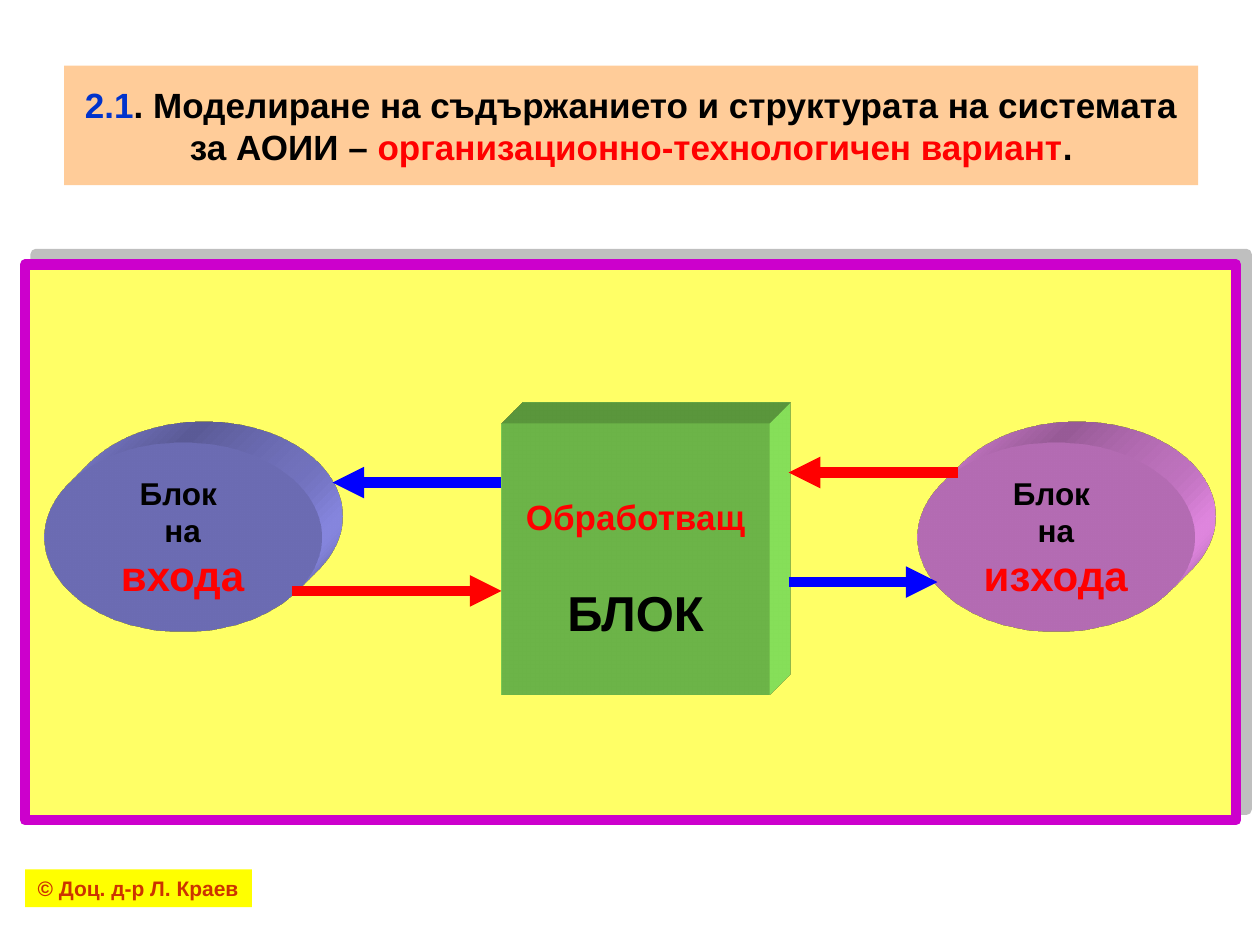
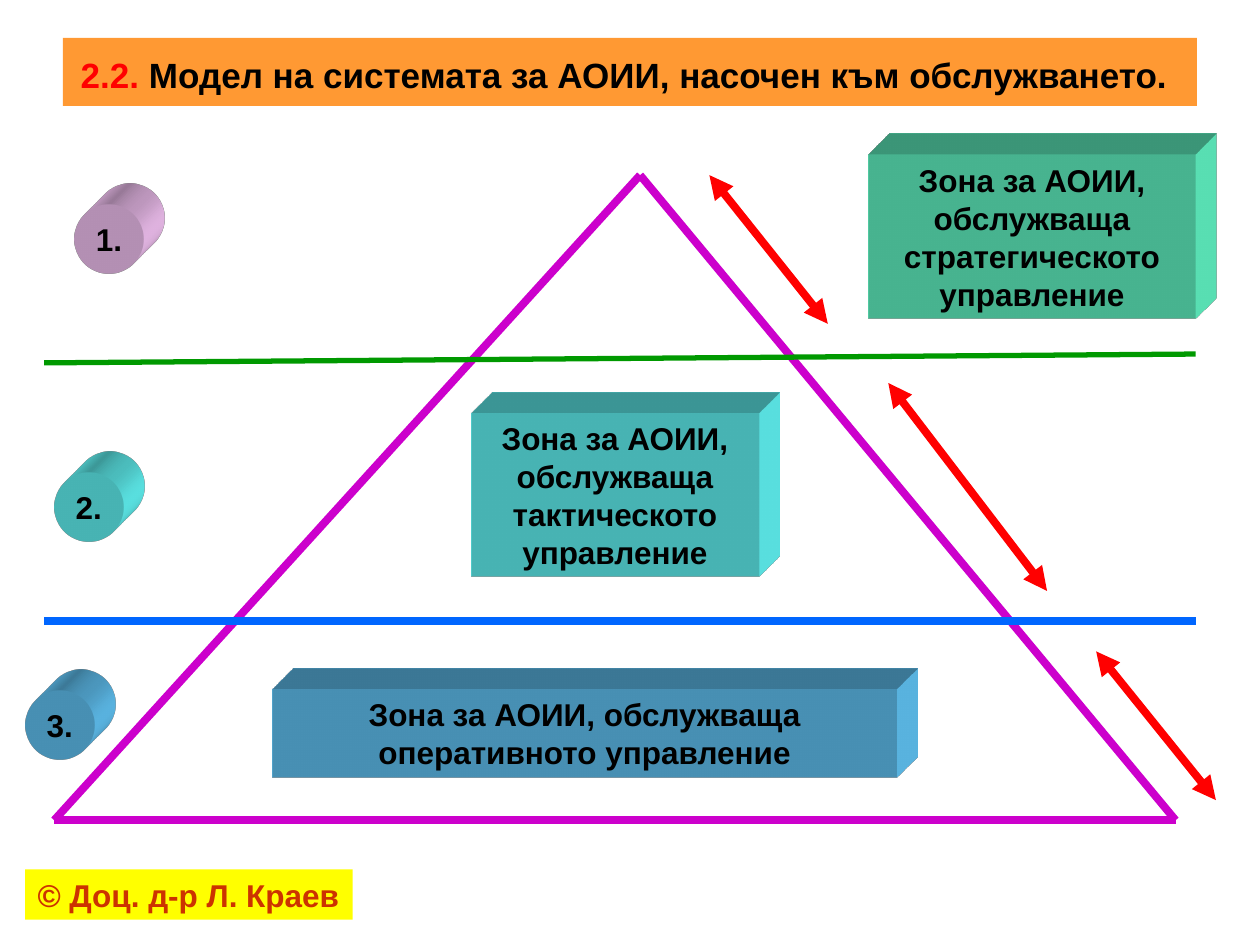
from dataclasses import dataclass
from typing import NamedTuple

from lxml import etree
from pptx import Presentation
from pptx.dml.color import RGBColor
from pptx.enum import shapes, text
from pptx.oxml import ns
from pptx.util import Inches, Pt

FONT = "Arial"
EXTRUSION = Inches(0.47)
COLORS = {
    "black": "000000",
    "red": "FF0000",
    "blue": "0000FF",
    "number_blue": "0033CC",
    "peach": "FFCC99",
    "orange": "FF9933",
    "yellow": "FFFF00",
    "rust": "CC3300",
    "panel": "FFFF66",
    "magenta": "CC00CC",
    "shadow": "808080",
    "violet": "9999FF",
    "pink": "FF99FF",
    "lime": "99FF66",
    "pale_pink": "FFCCFF",
    "mint": "66FFCC",
    "cyan": "66FFFF",
    "sky": "66CCFF",
    "dark_green": "009900",
    "divider_blue": "0066FF",
}
RECT = shapes.MSO_SHAPE.RECTANGLE
OVAL = shapes.MSO_SHAPE.OVAL
TOP = text.MSO_ANCHOR.TOP
MIDDLE = text.MSO_ANCHOR.MIDDLE
LEFT = text.PP_ALIGN.LEFT
CENTER = text.PP_ALIGN.CENTER


class Box(NamedTuple):
    left: float
    top: float
    width: float
    height: float


class Span(NamedTuple):
    words: str
    size: float = 18
    color: str = "black"


@dataclass
class Label:
    box: Box
    fill: str
    lines: list[list[Span]]
    shape: shapes.MSO_SHAPE = RECT
    anchor: text.MSO_ANCHOR = MIDDLE
    align: text.PP_ALIGN = CENTER
    wrap: bool = True
    solid: bool = False
    inset_top: float = 0.05
    gap: float = 0


@dataclass
class Stroke:
    start: tuple[float, float]
    end: tuple[float, float]
    color: str
    width: float
    ends: tuple[str, ...] = ()


def rgb(name: str) -> RGBColor:
    return RGBColor.from_string(COLORS[name])


def add_xml(parent, tag: str, **attrs: str):
    child = etree.SubElement(parent, ns.qn(tag))
    for key, value in attrs.items():
        child.set(key, value)
    return child


def extrude(sp, color: str) -> None:
    props = sp.element.spPr
    scene = add_xml(props, "a:scene3d")
    add_xml(scene, "a:camera", prst="legacyObliqueTopRight")
    add_xml(scene, "a:lightRig", rig="legacyFlat3", dir="b")
    body = add_xml(props, "a:sp3d", extrusionH=str(int(EXTRUSION)), prstMaterial="legacyMatte")
    for bevel in ("a:bevelT", "a:bevelB"):
        add_xml(body, bevel, w="13500", h="13500", prst="angle")
    add_xml(add_xml(body, "a:extrusionClr"), "a:srgbClr", val=COLORS[color])


def add_block(s, box: Box, fill: str, shape: shapes.MSO_SHAPE = RECT):
    sp = s.shapes.add_shape(shape, *map(Inches, box))
    sp.shadow.inherit = False
    sp.fill.solid()
    sp.fill.fore_color.rgb = rgb(fill)
    sp.line.fill.background()
    return sp


def add_label(s, label: Label) -> None:
    sp = add_block(s, label.box, label.fill, label.shape)
    if label.solid:
        extrude(sp, label.fill)
    tf = sp.text_frame
    tf.word_wrap = label.wrap
    tf.vertical_anchor = label.anchor
    tf.margin_top = Inches(label.inset_top)
    for index, line in enumerate(label.lines):
        p = tf.add_paragraph() if index else tf.paragraphs[0]
        p.alignment = label.align
        if index and label.gap:
            p.space_before = Pt(label.gap)
        for span in line:
            r = p.add_run()
            r.text = span.words
            r.font.name = FONT
            r.font.size = Pt(span.size)
            r.font.bold = True
            r.font.color.rgb = rgb(span.color)


def add_stroke(s, stroke: Stroke) -> None:
    points = map(Inches, stroke.start + stroke.end)
    c = s.shapes.add_connector(shapes.MSO_CONNECTOR.STRAIGHT, *points)
    c.line.color.rgb = rgb(stroke.color)
    c.line.width = Pt(stroke.width)
    for end in stroke.ends:
        add_xml(c.line._get_or_add_ln(), end, type="triangle")
    add_xml(c.element.spPr, "a:effectLst")


def add_title(s, box: Box, fill: str, spans: list[Span]) -> None:
    add_label(s, Label(box, fill, [spans]))


def add_footer(s, width: float, height: float, size: float) -> None:
    line = [Span("© Доц. д-р Л. Краев", size, "rust")]
    add_label(s, Label(Box(0.2, 6.9, width, height), "yellow", [line],
                       anchor=TOP, align=LEFT, wrap=False))


def add_panel(s) -> None:
    sp = add_block(s, Box(0.2, 2.1, 9.61, 4.41), "panel")
    sp.line.color.rgb = rgb("magenta")
    sp.line.width = Pt(6)
    effects = sp.element.spPr.find(ns.qn("a:effectLst"))
    shadow = add_xml(effects, "a:outerShdw", dist=str(int(Pt(8.5))),
                     dir="18900000", algn="ctr", rotWithShape="0")
    color = add_xml(shadow, "a:srgbClr", val=COLORS["shadow"])
    add_xml(color, "a:alpha", val="50000")


def add_end_block(s, left: float, fill: str, name: str) -> None:
    lines = [[Span("Блок ")], [Span("на")], [Span(name, 24, "red")]]
    add_label(s, Label(Box(left, 3.51, 2.2, 1.5), fill, lines, OVAL, wrap=False, solid=True))


def add_marker(s, left: float, top: float, fill: str, number: str) -> None:
    add_label(s, Label(Box(left, top, 0.55, 0.55), fill, [[Span(number)]],
                       OVAL, wrap=False, solid=True))


def add_zone(s, box: Box, fill: str, lines: list[str]) -> None:
    add_label(s, Label(box, fill, [[Span(line)] for line in lines], anchor=TOP, solid=True))


def build_block_model(s) -> None:
    add_title(s, Box(0.51, 0.52, 9, 0.95), "peach", [
        Span("2.1", 20, "number_blue"),
        Span(". Моделиране на съдържанието и структурата на системата за АОИИ – ", 20),
        Span("организационно-технологичен вариант", 20, "red"),
        Span(".", 20),
    ])
    add_footer(s, 1.8, 0.3, 12)
    add_panel(s)
    add_end_block(s, 0.35, "violet", "входа")
    add_label(s, Label(Box(3.98, 3.36, 2.13, 2.15), "lime",
                       [[Span("Обработващ", 20, "red")], [Span("БЛОК", 28)]],
                       anchor=TOP, solid=True, inset_top=0.57, gap=26))
    add_end_block(s, 7.28, "pink", "изхода")
    for start, end, color in (
        ((2.32, 4.69), (3.98, 4.69), "red"),
        ((3.98, 3.83), (2.64, 3.83), "blue"),
        ((6.26, 4.62), (7.44, 4.62), "blue"),
        ((7.6, 3.75), (6.26, 3.75), "red"),
    ):
        add_stroke(s, Stroke(start, end, color, 6, ("a:tailEnd",)))


def build_service_model(s) -> None:
    add_title(s, Box(0.5, 0.3, 9, 0.54), "orange", [
        Span("2.2.", 20, "red"),
        Span(" Модел на системата за АОИИ, насочен към обслужването.", 20),
        Span(" ", 24),
    ])
    add_footer(s, 2.6, 0.4, 18)

    apex, base_left, base_right = (5.08, 1.39), (0.43, 6.51), (9.33, 6.51)
    for start, end in ((base_left, base_right), (apex, base_left), (apex, base_right)):
        add_stroke(s, Stroke(start, end, "magenta", 4.5))
    add_stroke(s, Stroke((0.35, 2.88), (9.49, 2.81), "dark_green", 3))
    add_stroke(s, Stroke((0.35, 4.93), (9.49, 4.93), "divider_blue", 4.5))

    add_zone(s, Box(6.89, 1.23, 2.6, 1.3), "mint",
             ["Зона за АОИИ,", "обслужваща", "стратегическото управление"])
    add_marker(s, 0.59, 1.62, "pale_pink", "1.")
    add_marker(s, 0.43, 3.75, "cyan", "2.")
    add_marker(s, 0.2, 5.48, "sky", "3.")
    add_zone(s, Box(3.74, 3.28, 2.28, 1.3), "cyan",
             ["Зона за АОИИ,", "обслужваща", "тактическото", "управление"])
    add_zone(s, Box(2.16, 5.47, 4.96, 0.7), "sky",
             ["Зона за АОИИ, обслужваща", "оперативното управление"])

    for start, end in (
        ((5.63, 1.39), (6.57, 2.57)),
        ((7.05, 3.04), (8.31, 4.69)),
        ((8.7, 5.17), (9.65, 6.35)),
    ):
        add_stroke(s, Stroke(start, end, "red", 4.5, ("a:headEnd", "a:tailEnd")))


def main() -> None:
    prs = Presentation()
    prs.slide_width = Inches(10)
    prs.slide_height = Inches(7.5)
    for build in (build_block_model, build_service_model):
        build(prs.slides.add_slide(prs.slide_layouts[6]))
    prs.save("out.pptx")


if __name__ == "__main__":
    main()
